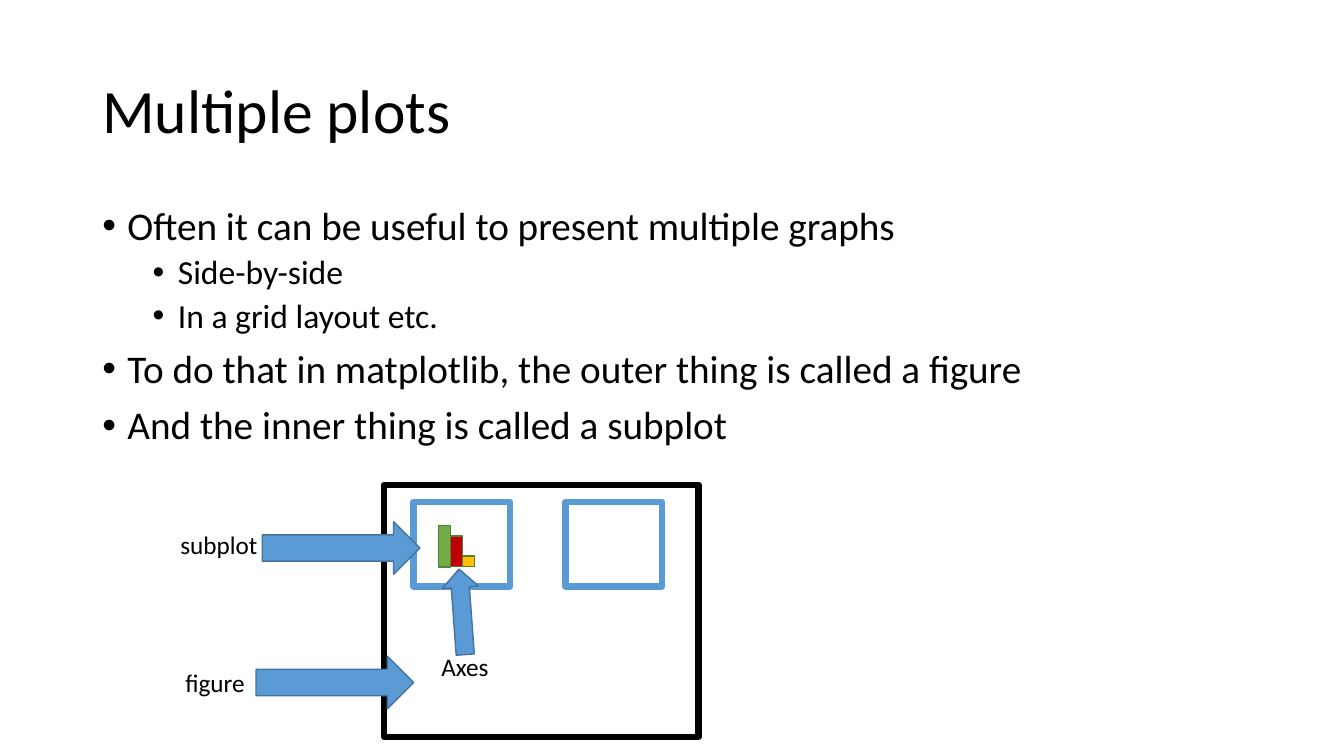
import pptx
import pptx.util
import pptx.dml.color
import pptx.enum.shapes
import pptx.enum.text
import pptx.oxml.ns
import lxml.etree

Pt = pptx.util.Pt
SHAPES = pptx.enum.shapes.MSO_SHAPE
FONT = "Calibri"
COLORS = {
    "text": "000000",
    "figure": "000000",
    "subplot": "5B9BD5",
    "arrow": "5B9BD5",
    "arrow_line": "43739E",
    "bar_line": "538035",
    "green": "70AD47",
    "red": "C00000",
    "yellow": "FFC000",
}
LEVELS = [
    {"size": 28, "margin": 18, "before": 10},
    {"size": 24, "margin": 54, "before": 5},
]
BULLETS = [
    (0, "Often it can be useful to present multiple graphs"),
    (1, "Side-by-side"),
    (1, "In a grid layout etc."),
    (0, "To do that in matplotlib, the outer thing is called a figure"),
    (0, "And the inner thing is called a subplot"),
]


def color(name):
    return pptx.dml.color.RGBColor.from_string(COLORS[name])


def style_text(paragraph, size):
    for run in paragraph.runs:
        run.font.name = FONT
        run.font.size = Pt(size)
        run.font.color.rgb = color("text")


def add_text(slide, box, wrap=True):
    text_frame = slide.shapes.add_textbox(*map(Pt, box)).text_frame
    text_frame.word_wrap = wrap
    return text_frame


def add_shape(slide, kind, box, line, line_width, fill=None):
    shape = slide.shapes.add_shape(kind, *map(Pt, box))
    shape.shadow.inherit = False
    if fill:
        shape.fill.solid()
        shape.fill.fore_color.rgb = color(fill)
    else:
        shape.fill.background()
    shape.line.color.rgb = color(line)
    shape.line.width = Pt(line_width)
    return shape


def add_title(slide, box):
    text_frame = add_text(slide, box)
    text_frame.vertical_anchor = pptx.enum.text.MSO_ANCHOR.MIDDLE
    text_frame.text = "Multiple plots"
    paragraph = text_frame.paragraphs[0]
    paragraph.line_spacing = 0.9
    style_text(paragraph, 44)


def add_bullet(paragraph, margin):
    properties = paragraph._p.get_or_add_pPr()
    properties.set("marL", str(Pt(margin)))
    properties.set("indent", str(-Pt(18)))
    for tag, name, value in (("a:buFont", "typeface", "Arial"), ("a:buChar", "char", "•")):
        lxml.etree.SubElement(properties, pptx.oxml.ns.qn(tag)).set(name, value)


def add_body(slide, box):
    text_frame = add_text(slide, box)
    text_frame.text = "\n".join(text for level, text in BULLETS)
    for index, paragraph in enumerate(text_frame.paragraphs):
        level = BULLETS[index][0]
        style = LEVELS[level]
        paragraph.level = level
        add_bullet(paragraph, style["margin"])
        paragraph.line_spacing = 0.9
        paragraph.space_before = Pt(style["before"] if index else 0)
        style_text(paragraph, style["size"])


def add_label(slide, text, box):
    text_frame = add_text(slide, box, wrap=False)
    text_frame.auto_size = pptx.enum.text.MSO_AUTO_SIZE.SHAPE_TO_FIT_TEXT
    text_frame.text = text
    style_text(text_frame.paragraphs[0], 18)


def add_arrow(slide, box, rotation=0):
    arrow = add_shape(slide, SHAPES.RIGHT_ARROW, box, "arrow_line", 1, "arrow")
    arrow.rotation = rotation


def add_bars(slide, left, bottom):
    width = 8.64
    bars = [("green", 29.5), ("red", 22), ("yellow", 7.6)]
    for index, (fill, height) in enumerate(bars):
        box = (left + index * width, bottom - height, width, height)
        add_shape(slide, SHAPES.RECTANGLE, box, "bar_line", 1, fill)


def add_diagram(slide, box):
    left, top, width, height = box
    add_shape(slide, SHAPES.RECTANGLE, box, "figure", 4.5)
    for column in range(2):
        subplot = (left + 21 + column * 108.6, top + 12.2, 69.2, 60.4)
        add_shape(slide, SHAPES.RECTANGLE, subplot, "subplot", 4.5)
    add_bars(slide, left + 38.9, top + 58.6)
    add_arrow(slide, (left - 91.4, top + 122.4, 112.6, 37.6))
    add_arrow(slide, (left - 87, top + 26.4, 112.6, 37.6))
    add_label(slide, "figure", (left - 149, top + 126.7, 57.6, 29))
    add_label(slide, "subplot", (left - 152.6, top + 28, 70.6, 29))
    add_arrow(slide, (left + 25.2, top + 77.8, 61.2, 25.9), 265.8)
    add_label(slide, "Axes", (left + 33.9, top + 115.2, 48.2, 29))


def main():
    presentation = pptx.Presentation()
    presentation.slide_width = Pt(960)
    presentation.slide_height = Pt(540)
    slide = presentation.slides.add_slide(presentation.slide_layouts[6])
    add_title(slide, (66, 28.75, 828, 104.4))
    add_body(slide, (66, 144, 828, 342.6))
    add_diagram(slide, (274.3, 346.3, 224.6, 180))
    presentation.save("out.pptx")


if __name__ == "__main__":
    main()
